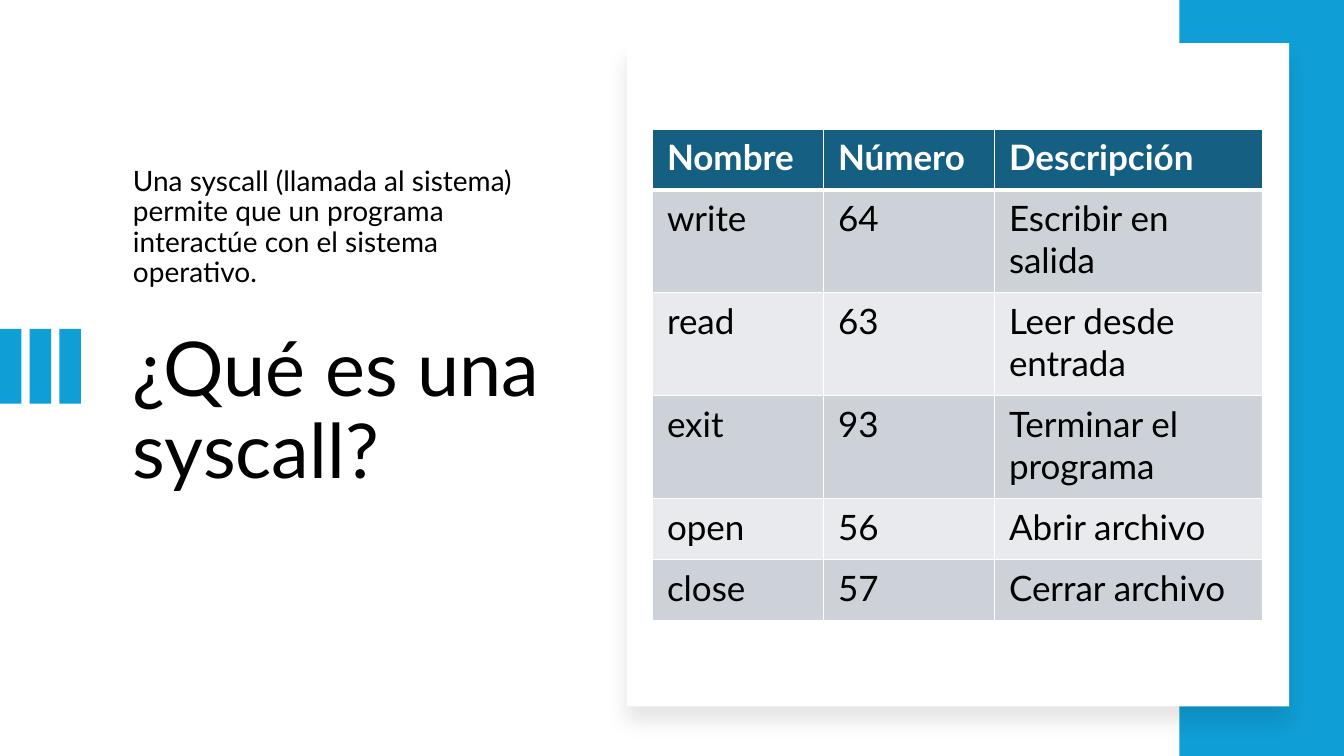
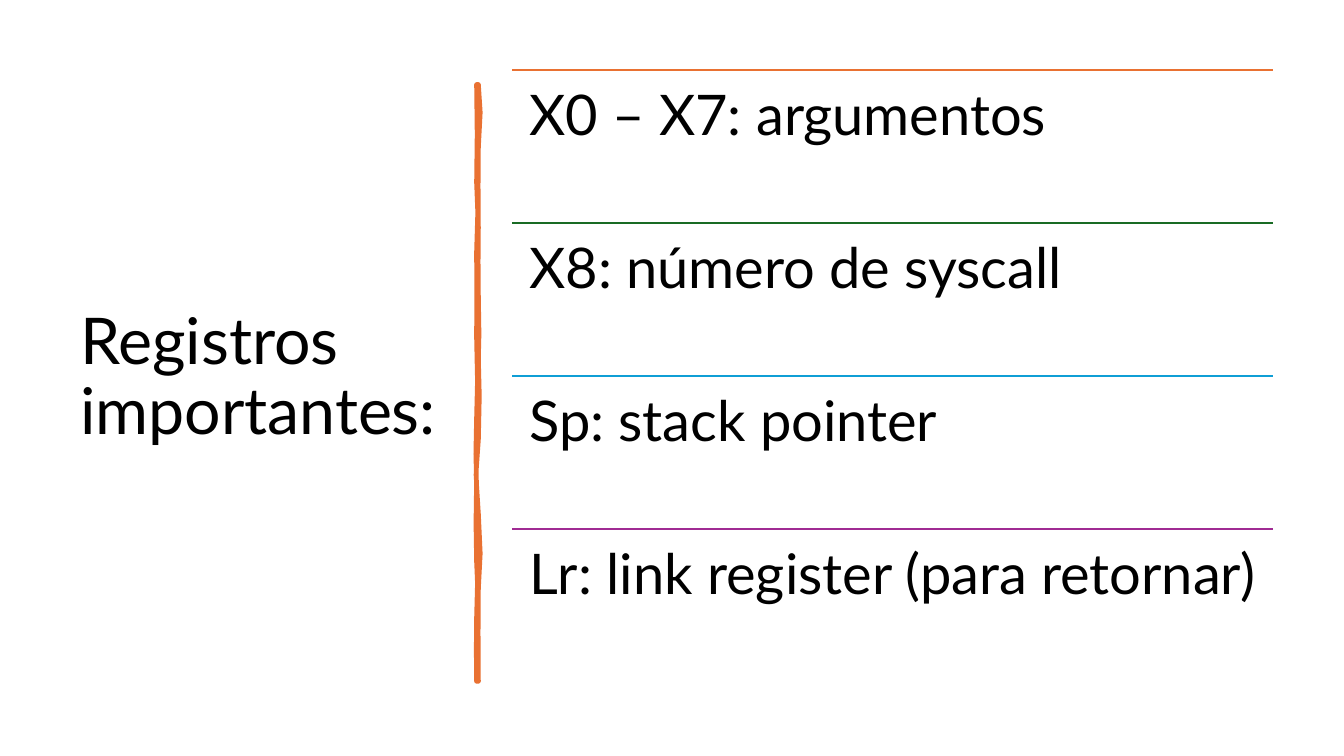
from lxml import etree
from pptx import Presentation
from pptx import util as u
from pptx.dml.color import RGBColor
from pptx.enum import shapes, text
from pptx.oxml.ns import qn

Cm, Pt = u.Cm, u.Pt

# Shared style
FONT = "Lato"
BLACK, WHITE, BLUE, ORANGE = "000000", "FFFFFF", "0F9ED5", "E97132"
HEADER, ROW_FILLS = "156082", ("CCD2D8", "E8EAED")

# Content
SYSCALL_TITLE = "¿Qué es una syscall?"
SYSCALL_INTRO = ("Una syscall (llamada al sistema) permite que un programa "
                 "interactúe con el sistema operativo.")
SYSCALLS = [
    ("Nombre", "Número", "Descripción"),
    ("write", "64", "Escribir en salida"),
    ("read", "63", "Leer desde entrada"),
    ("exit", "93", "Terminar el programa"),
    ("open", "56", "Abrir archivo"),
    ("close", "57", "Cerrar archivo"),
]
COL_WIDTHS = (4.31, 4.31, 6.74)
ROW_HEIGHTS = (1.54, 2.59, 2.59, 2.59, 1.54, 1.54)

REGISTERS_TITLE = "Registros importantes:"
REGISTERS = [
    ("X0 – X7: argumentos", ORANGE),
    ("X8: número de syscall", "196B24"),
    ("Sp: stack pointer", BLUE),
    ("Lr: link register (para retornar)", "A02B93"),
]

# Hand-drawn divider in cm: a start, then two controls and an end per curve
DIVIDER_START = (12.06, 2.13)
DIVIDER_CURVES = [
    ((12.12, 2.59), (12.12, 3.02), (12.06, 3.71)),
    ((12.01, 4.39), (12.09, 4.95), (12.06, 5.74)),
    ((12.04, 6.53), (12.06, 6.65), (12.06, 7.47)),
    ((12.04, 8.26), (12.12, 8.69), (12.06, 9.04)),
    ((12.01, 9.4), (12.17, 10.52), (12.06, 11.07)),
    ((11.96, 11.61), (11.99, 12.29), (12.06, 12.95)),
    ((12.12, 13.61), (12.12, 14.33), (12.06, 14.83)),
    ((12.01, 15.32), (12.09, 16.51), (12.06, 17.17)),
    ((12.04, 17.17), (12.01, 17.17), (12.01, 17.17)),
    ((12.04, 16.41), (11.96, 16.36), (12.01, 15.57)),
    ((12.04, 14.81), (12.04, 14.48), (12.01, 14.15)),
    ((11.99, 13.82), (11.99, 12.57), (12.01, 12.12)),
    ((12.01, 11.66), (11.96, 11.3), (12.01, 10.54)),
    ((12.04, 9.8), (12.04, 9.47), (12.01, 8.51)),
    ((12.04, 7.57), (11.99, 7.14), (12.01, 6.35)),
    ((12.04, 5.54), (12.06, 5.08), (12.01, 4.6)),
    ((11.94, 4.14), (12.12, 2.64), (12.01, 2.13)),
]


def color(hex_text):
    return RGBColor.from_string(hex_text)


def sub(parent, tag, **attrs):
    return etree.SubElement(parent, qn(tag), {k: str(v) for k, v in attrs.items()})


def write(tf, words, size, fill=BLACK, bold=False, spacing=None,
          anchor=text.MSO_ANCHOR.TOP):
    tf.word_wrap = True
    tf.vertical_anchor = anchor
    p = tf.paragraphs[0]
    p.alignment = text.PP_ALIGN.LEFT
    if spacing:
        p.line_spacing = spacing
    r = p.add_run()
    r.text = words
    r.font.name, r.font.size, r.font.bold = FONT, Pt(size), bold
    r.font.color.rgb = color(fill)


def add_text(s, box, words, size, inset=None, **fmt):
    tf = s.shapes.add_textbox(*map(Cm, box)).text_frame
    if inset is not None:
        tf.margin_left = tf.margin_right = Cm(inset)
        tf.margin_top = tf.margin_bottom = Cm(inset)
    write(tf, words, size, spacing=0.9, **fmt)


def add_rect(s, box, fill):
    sp = s.shapes.add_shape(shapes.MSO_SHAPE.RECTANGLE, *map(Cm, box))
    sp.shadow.inherit = False
    sp.fill.solid()
    sp.fill.fore_color.rgb = color(fill)
    sp.line.fill.background()
    return sp


def add_slide(prs, title, box, size, **fmt):
    s = prs.slides.add_slide(prs.slide_layouts[5])
    sp = s.shapes.title
    sp.left, sp.top, sp.width, sp.height = map(Cm, box)
    sp.text_frame.auto_size = text.MSO_AUTO_SIZE.NONE
    write(sp.text_frame, title, size, spacing=0.9, **fmt)
    return s


def add_shadow(sp):
    effects = sp._element.spPr.find(qn("a:effectLst"))
    shadow = sub(effects, "a:outerShdw", blurRad=Pt(15), dist=Pt(11),
                 dir=90 * 60000, algn="t", rotWithShape=0)
    sub(sub(shadow, "a:srgbClr", val=BLACK), "a:alpha", val=10000)


def set_borders(cell, **widths):
    tcPr = cell._tc.get_or_add_tcPr()
    for side in "LRTB":
        ln = sub(tcPr, f"a:ln{side}", w=Pt(widths.get(side, 1)))
        sub(sub(ln, "a:solidFill"), "a:srgbClr", val=WHITE)


def add_syscall_table(s):
    tbl = s.shapes.add_table(
        len(SYSCALLS), len(COL_WIDTHS), Cm(16.45), Cm(3.25),
        Cm(sum(COL_WIDTHS)), Cm(sum(ROW_HEIGHTS))).table
    for col, width in zip(tbl.columns, COL_WIDTHS):
        col.width = Cm(width)
    for i, (row, height) in enumerate(zip(tbl.rows, ROW_HEIGHTS)):
        row.height = Cm(height)
        head = i == 0
        for cell, words in zip(row.cells, SYSCALLS[i]):
            set_borders(cell, T=3 if i == 1 else 1, B=3 if head else 1)
            cell.fill.solid()
            cell.fill.fore_color.rgb = color(HEADER if head else ROW_FILLS[(i - 1) % 2])
            cell.margin_left = cell.margin_right = Cm(0.36)
            cell.margin_top = cell.margin_bottom = Cm(0.18)
            write(cell.text_frame, words, 25, fill=WHITE if head else BLACK, bold=head)


def divider_points(steps=2):
    start = DIVIDER_START
    for c1, c2, end in DIVIDER_CURVES:
        for t in (n / steps for n in range(1, steps + 1)):
            yield tuple(
                Cm((1 - t) ** 3 * a + 3 * (1 - t) ** 2 * t * b
                   + 3 * (1 - t) * t ** 2 * c + t ** 3 * d)
                for a, b, c, d in zip(start, c1, c2, end))
        start = end


def add_divider(s):
    builder = s.shapes.build_freeform(*map(Cm, DIVIDER_START))
    builder.add_line_segments(divider_points(), close=True)
    sp = builder.convert_to_shape()
    sp.shadow.inherit = False
    sp.fill.solid()
    sp.fill.fore_color.rgb = color(ORANGE)
    sp.line.color.rgb = color(ORANGE)
    sp.line.width = Pt(3.25)
    sub(sp.line._get_or_add_ln(), "a:round")


def add_rule(s, left, top, width, stroke):
    ln = s.shapes.add_connector(shapes.MSO_CONNECTOR.STRAIGHT, Cm(left), Cm(top),
                                Cm(left + width), Cm(top))
    ln.line.color.rgb = color(stroke)
    ln.line.width = Pt(1.5)
    sub(ln._element.spPr, "a:effectLst")


def syscall_slide(prs):
    s = add_slide(prs, SYSCALL_TITLE, (3.09, 8.23, 11.2, 6.63), 54)
    add_text(s, (3.1, 2.64, 11.2, 4.75), SYSCALL_INTRO, 20,
             anchor=text.MSO_ANCHOR.BOTTOM)
    # Accent bars, side band and card
    for i in range(3):
        add_rect(s, (0.75 * i, 8.29, 0.54, 1.88), BLUE)
    add_rect(s, (29.72, 0, 4.15, 19.05), BLUE)
    add_shadow(add_rect(s, (15.8, 1.09, 16.69, 16.71), WHITE))
    add_syscall_table(s)


def registers_slide(prs):
    s = add_slide(prs, REGISTERS_TITLE, (1.77, 1.78, 9.5, 15.52), 46,
                  anchor=text.MSO_ANCHOR.MIDDLE)
    add_divider(s)
    # One ruled row per register
    left, top, width, pitch = 12.91, 1.77, 19.17, 3.85
    for i, (words, stroke) in enumerate(REGISTERS):
        y = top + i * pitch
        add_rule(s, left, y, width, stroke)
        add_text(s, (left, y, width, pitch), words, 40, inset=0.43)


def main():
    prs = Presentation()
    prs.slide_width, prs.slide_height = Cm(33.87), Cm(19.05)
    syscall_slide(prs)
    registers_slide(prs)
    prs.save("out.pptx")


if __name__ == "__main__":
    main()
